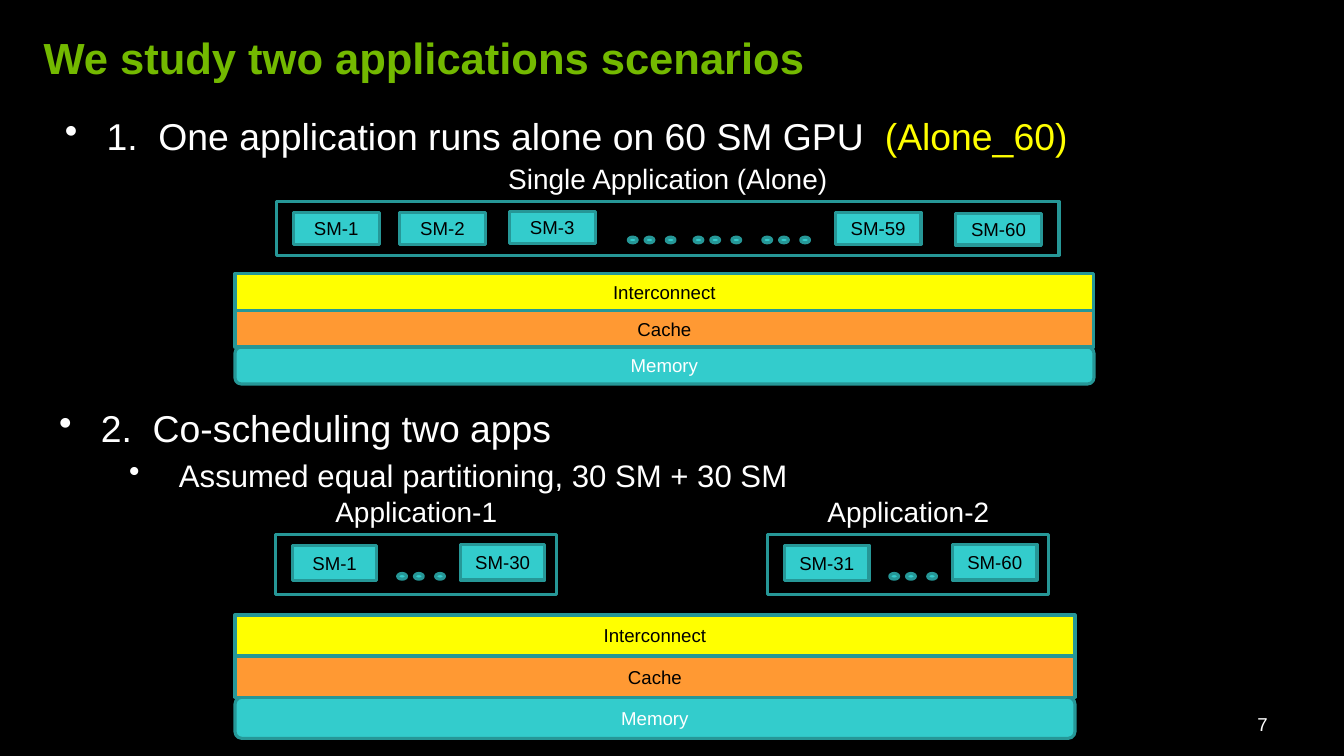
from lxml import etree
from pptx import Presentation
from pptx.dml.color import RGBColor
from pptx.enum import shapes, text
from pptx.oxml import ns
from pptx.util import Cm, Pt

BLACK, WHITE, GREEN = "000000", "FFFFFF", "73B900"
TEAL, EDGE, YELLOW, ORANGE = "33CCCC", "269797", "FFFF00", "FF9933"
RECT = shapes.MSO_SHAPE.RECTANGLE
ROUNDED = shapes.MSO_SHAPE.ROUNDED_RECTANGLE
OVAL = shapes.MSO_SHAPE.OVAL
LEFT, CENTER, RIGHT = text.PP_ALIGN.LEFT, text.PP_ALIGN.CENTER, text.PP_ALIGN.RIGHT
TOP, MIDDLE = text.MSO_ANCHOR.TOP, text.MSO_ANCHOR.MIDDLE


def color(value):
    return RGBColor.from_string(value)


def style(paragraph, size, hue, align=LEFT, bold=False):
    paragraph.alignment = align
    paragraph.font.name = "Arial"
    paragraph.font.size = Pt(size)
    paragraph.font.bold = bold
    paragraph.font.color.rgb = color(hue)


def add_block(slide, kind, box, fill=None, label="", hue=BLACK):
    block = slide.shapes.add_shape(kind, *map(Cm, box))
    block.shadow.inherit = False
    if fill:
        block.fill.solid()
        block.fill.fore_color.rgb = color(fill)
    else:
        block.fill.background()
    block.line.color.rgb = color(EDGE)
    block.line.width = Pt(2)
    if label:
        frame = block.text_frame
        frame.margin_left = frame.margin_right = 0
        frame.margin_top = frame.margin_bottom = 0
        frame.vertical_anchor = MIDDLE
        frame.text = label
        style(frame.paragraphs[0], 12, hue, CENTER)


def add_frame(slide, box, anchor=TOP):
    frame = slide.shapes.add_textbox(*map(Cm, box)).text_frame
    frame.word_wrap = True
    frame.vertical_anchor = anchor
    return frame


def add_line(slide, box, words, size, hue, align=LEFT, bold=False, anchor=TOP):
    frame = add_frame(slide, box, anchor)
    frame.text = words
    style(frame.paragraphs[0], size, hue, align, bold)


def add_bullets(slide, box, items):
    frame = add_frame(slide, box)
    for index, (level, size, indent, hanging, runs) in enumerate(items):
        bullet = frame.add_paragraph() if index else frame.paragraphs[0]
        bullet.level = level
        bullet.space_before = Pt(size * 0.2)
        style(bullet, size, WHITE)
        for words, hue in runs:
            run = bullet.add_run()
            run.text = words
            if hue != WHITE:
                run.font.color.rgb = color(hue)
        properties = bullet._p.get_or_add_pPr()
        properties.set("marL", str(Cm(indent)))
        properties.set("indent", str(-Cm(hanging)))
        mark = etree.Element(ns.qn("a:buChar"), char="•")
        properties.find(ns.qn("a:defRPr")).addprevious(mark)


def add_sm_panel(slide, box, title, sm_size, sms, dot_groups, dot_top):
    left, top, width, height = box
    add_line(slide, (left, top - 1.02, width, 1.02), title, 18, WHITE, CENTER)
    add_block(slide, RECT, box)
    for label, dx, dy in sms:
        add_block(slide, RECT, (left + dx, top + dy, *sm_size), TEAL, label)
    for group in dot_groups:
        for step in (0, 0.38, 0.86):
            add_block(slide, OVAL, (left + group + step, top + dot_top, 0.2, 0.13), TEAL)


def add_memory_stack(slide, box):
    left, top, width, height = box
    layer_height = height / 3
    layers = [("Interconnect", RECT, YELLOW, BLACK),
              ("Cache", RECT, ORANGE, BLACK),
              ("Memory", ROUNDED, TEAL, WHITE)]
    for row, (label, kind, fill, hue) in reversed(list(enumerate(layers))):
        layer = (left, top + row * layer_height, width, layer_height)
        add_block(slide, kind, layer, fill, label, hue)


def add_alone_scenario(slide, left, top):
    add_bullets(slide, (left - 5.05, top - 2.13, 27.89, 1.52), [
        (0, 24, 0.95, 0.95, [("1.  One application runs alone on 60 SM GPU  ", WHITE),
                             ("(Alone_60)", YELLOW)])])
    sms = [("SM-1", 0.38, 0.25), ("SM-2", 2.79, 0.25), ("SM-3", 5.28, 0.23),
           ("SM-59", 12.67, 0.25), ("SM-60", 15.4, 0.27)]
    add_sm_panel(slide, (left, top, 17.75, 1.22), "Single Application (Alone)",
                 (1.95, 0.72), sms, (7.98, 9.47, 11.03), 0.81)
    add_memory_stack(slide, (left - 0.94, top + 1.63, 19.48, 2.51))


def add_shared_scenario(slide, left, top):
    add_bullets(slide, (left - 5.16, top - 3.05, 27.89, 1.52), [
        (0, 24, 0.95, 0.95, [("2.  Co-scheduling two apps", WHITE)]),
        (1, 20, 2.72, 1.13, [("Assumed equal partitioning, 30 SM + 30 SM", WHITE)])])
    applications = [("Application-1", "SM-1", "SM-30"), ("Application-2", "SM-31", "SM-60")]
    for column, (title, first, last) in enumerate(applications):
        add_sm_panel(slide, (left + column * 11.16, top, 6.38, 1.37), title, (1.92, 0.81),
                     [(first, 0.38, 0.25), (last, 4.19, 0.23)], (2.77,), 0.89)
    add_memory_stack(slide, (left - 0.92, top + 1.83, 19.05, 2.8))


def main():
    deck = Presentation()
    deck.slide_width, deck.slide_height = Cm(30.48), Cm(17.15)
    slide = deck.slides.add_slide(deck.slide_layouts[6])
    slide.background.fill.solid()
    slide.background.fill.fore_color.rgb = color(BLACK)
    add_line(slide, (0.74, 0.57, 25.58, 1.45), "We study two applications scenarios",
             28, GREEN, bold=True, anchor=MIDDLE)
    add_alone_scenario(slide, 6.27, 4.57)
    add_shared_scenario(slide, 6.25, 12.12)
    add_line(slide, (21.89, 15.98, 7.11, 0.91), "7", 12, WHITE, RIGHT, anchor=MIDDLE)
    deck.save("out.pptx")


if __name__ == "__main__":
    main()
